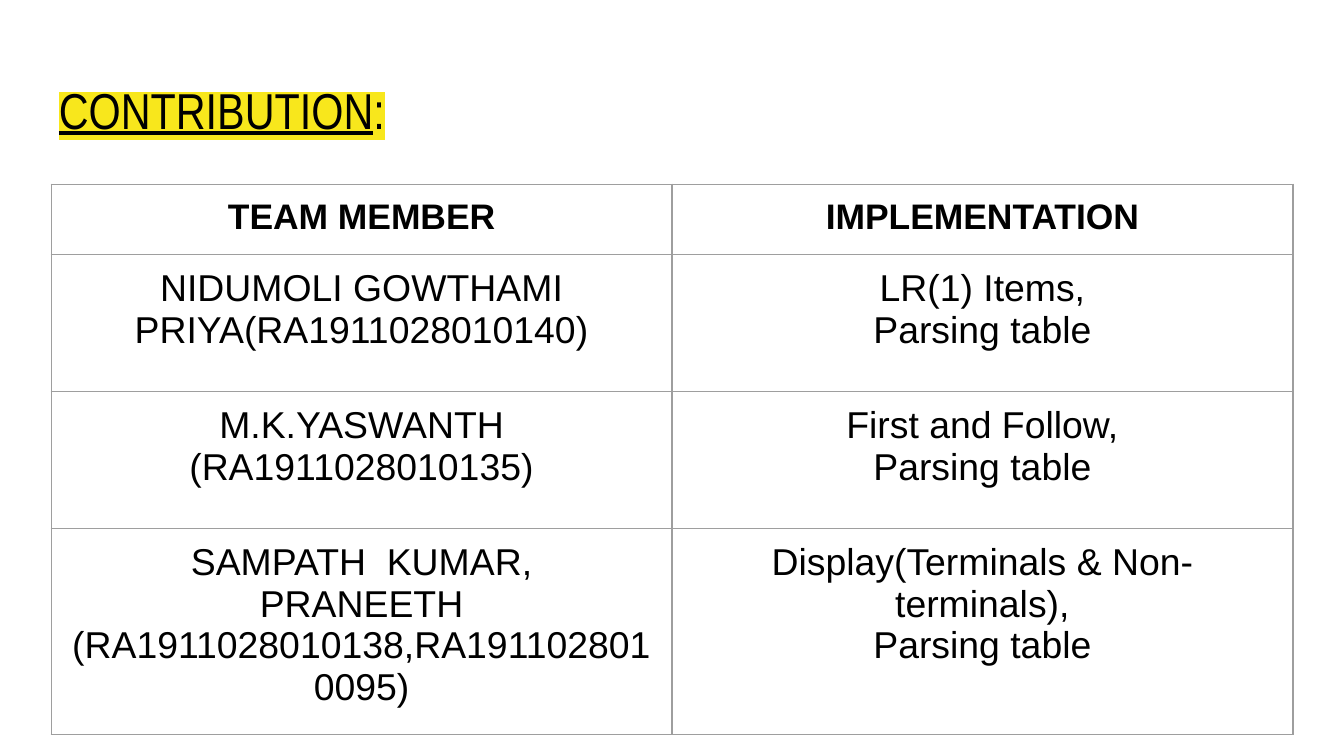
from lxml.etree import SubElement
from pptx import Presentation
from pptx.dml.color import RGBColor
from pptx.enum.text import MSO_ANCHOR, PP_ALIGN
from pptx.oxml.ns import qn
from pptx.util import Pt

TITLE = [("CONTRIBUTION", True), (":", False)]
ROWS = [
    (["TEAM MEMBER"], ["IMPLEMENTATION"]),
    (["NIDUMOLI GOWTHAMI PRIYA(RA1911028010140)"],
     ["LR(1) Items,", "Parsing table"]),
    (["M.K.YASWANTH", "(RA1911028010135)"],
     ["First and Follow,", "Parsing table"]),
    (["SAMPATH  KUMAR,", "PRANEETH", "(RA1911028010138,RA1911028010095)"],
     ["Display(Terminals & Non-terminals),", "Parsing table"]),
]
TITLE_FONT = {"name": "Arial Narrow", "size": Pt(27)}
HEAD_FONT = {"name": "Arial", "size": Pt(19), "bold": True}
BODY_FONT = {"name": "Arial", "size": Pt(20), "bold": False}
BLACK, YELLOW, GREY = "000000", "F8E71C", "9E9E9E"
INSET = Pt(7.2)
COL_W, HEAD_H, ROW_H = 332.64, 37.5, 73.4


def color(value):
    return RGBColor.from_string(value)


def add_run(p, text, font):
    r = p.add_run()
    r.text = text
    for name, value in font.items():
        setattr(r.font, name, value)
    r.font.color.rgb = color(BLACK)
    return r


def highlight(r, value):
    """Mark the run; the schema wants the highlight right after the fill."""
    rPr = r.font._element
    mark = SubElement(rPr, qn("a:highlight"))
    SubElement(mark, qn("a:srgbClr"), val=value)
    rPr.find(qn("a:solidFill")).addnext(mark)


def add_borders(cell, value, width):
    tcPr = cell._tc.get_or_add_tcPr()
    for side in ("lnL", "lnR", "lnT", "lnB"):
        ln = SubElement(tcPr, qn(f"a:{side}"), w=str(width))
        fill = SubElement(ln, qn("a:solidFill"))
        SubElement(fill, qn("a:srgbClr"), val=value)


def fill_cell(cell, lines, font):
    for side in ("left", "right", "top", "bottom"):
        setattr(cell, f"margin_{side}", INSET)
    add_borders(cell, GREY, Pt(0.75))
    cell.fill.background()
    tf = cell.text_frame
    for i, line in enumerate(lines):
        p = tf.add_paragraph() if i else tf.paragraphs[0]
        p.alignment = PP_ALIGN.CENTER
        add_run(p, line, font)


prs = Presentation()
prs.slide_width, prs.slide_height = Pt(720), Pt(405)
s = prs.slides.add_slide(prs.slide_layouts[6])

title = s.shapes.add_textbox(Pt(24.5), Pt(35.3), Pt(671), Pt(45.4))
tf = title.text_frame
tf.word_wrap = True
tf.vertical_anchor = MSO_ANCHOR.BOTTOM
tf.margin_left = tf.margin_right = tf.margin_top = INSET
tf.margin_bottom = Pt(6)
for text, underline in TITLE:
    r = add_run(tf.paragraphs[0], text, TITLE_FONT | {"underline": underline})
    highlight(r, YELLOW)

height = HEAD_H + ROW_H * (len(ROWS) - 1)
table = s.shapes.add_table(len(ROWS), 2, Pt(27.4), Pt(98.7),
                           Pt(2 * COL_W), Pt(height)).table
table.horz_banding = table.first_row = False
for column in table.columns:
    column.width = Pt(COL_W)
for i, row in enumerate(ROWS):
    table.rows[i].height = Pt(ROW_H if i else HEAD_H)
    for j, lines in enumerate(row):
        fill_cell(table.cell(i, j), lines, BODY_FONT if i else HEAD_FONT)

prs.save("out.pptx")
